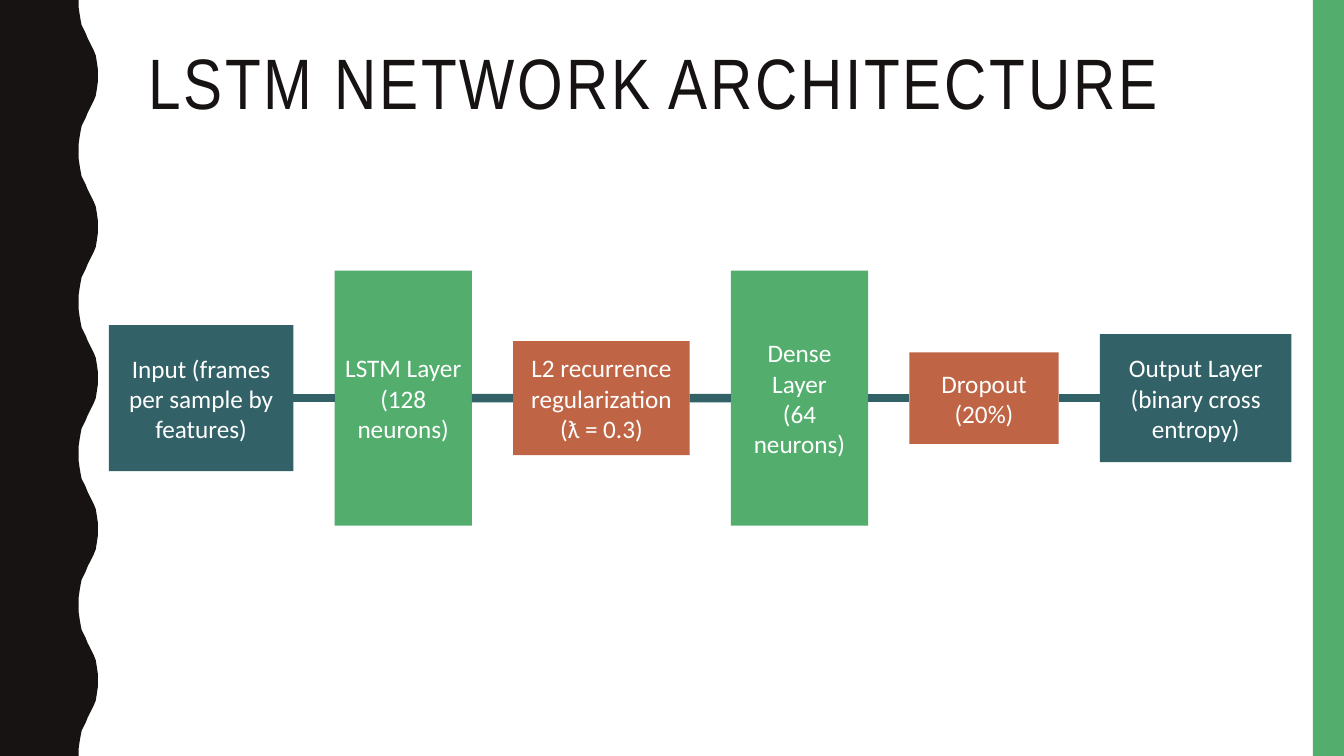
import pptx
import pptx.util
import pptx.dml.color
import pptx.enum.shapes
import pptx.enum.text
import pptx.oxml.ns
import lxml.etree

Inches = pptx.util.Inches
Align = pptx.enum.text.PP_ALIGN
Anchor = pptx.enum.text.MSO_ANCHOR

COLORS = {
    "ink": "171312",
    "green": "53AE6E",
    "rust": "BF6546",
    "teal": "326267",
    "white": "FFFFFF",
}


def color(name):
    return pptx.dml.color.RGBColor.from_string(COLORS[name])


def write_text(frame, text, *, font, size, ink, align, anchor,
               line_spacing=None, letter_spacing=None):
    """Fill a text frame, one paragraph for each line of text."""
    frame.word_wrap = True
    frame.auto_size = pptx.enum.text.MSO_AUTO_SIZE.NONE
    frame.vertical_anchor = anchor
    for index, line in enumerate(text.split("\n")):
        para = frame.paragraphs[0] if index == 0 else frame.add_paragraph()
        para.alignment = align
        para.space_before = pptx.util.Pt(0)
        if line_spacing:
            para.line_spacing = line_spacing
        span = para.add_run()
        span.text = line
        span.font.name = font
        span.font.size = pptx.util.Pt(size)
        span.font.color.rgb = color(ink)
        if letter_spacing:
            span.font._element.set("spc", str(letter_spacing * 100))


class SlideBuilder:
    title_font = "Arial Narrow"
    body_font = "Calibri"

    def __init__(self, page):
        self.page = page

    def paint(self, shape, fill):
        shape.shadow.inherit = False
        shape.fill.solid()
        shape.fill.fore_color.rgb = color(fill)
        shape.line.fill.background()

    def title(self, text, left, top, width, height):
        box = self.page.shapes.title
        box.left, box.top = Inches(left), Inches(top)
        box.width, box.height = Inches(width), Inches(height)
        write_text(box.text_frame, text, font=self.title_font, size=51, ink="ink",
                   align=Align.LEFT, anchor=Anchor.TOP,
                   line_spacing=0.9, letter_spacing=2)

    def box(self, left, top, width, height, fill, text=None):
        box = self.page.shapes.add_shape(
            pptx.enum.shapes.MSO_SHAPE.RECTANGLE,
            Inches(left), Inches(top), Inches(width), Inches(height))
        self.paint(box, fill)
        if text:
            frame = box.text_frame
            frame.margin_left = frame.margin_right = Inches(0.09)
            write_text(frame, text, font=self.body_font, size=18, ink="white",
                       align=Align.CENTER, anchor=Anchor.MIDDLE)
        return box

    def outline(self, points, fill):
        corners = [(Inches(x), Inches(y)) for x, y in points]
        builder = self.page.shapes.build_freeform(*corners[0])
        builder.add_line_segments(corners[1:], close=True)
        self.paint(builder.convert_to_shape(), fill)

    def link(self, source, target):
        """Join the right side of one box to the left side of the next."""
        line = self.page.shapes.add_connector(
            pptx.enum.shapes.MSO_CONNECTOR.STRAIGHT, 0, 0, 0, 0)
        line.begin_connect(source, 3)
        line.end_connect(target, 1)
        line.line.color.rgb = color("teal")
        line.line.width = pptx.util.Pt(6)
        lxml.etree.SubElement(line._element.spPr, pptx.oxml.ns.qn("a:effectLst"))


def wave_points(height, waves):
    """Outline of the left band, whose right edge repeats one wave."""
    period = height / waves
    swell = [(0.78, 0), (0.78, 0.07), (0.79, 0.14), (0.8, 0.2), (0.81, 0.25),
             (0.83, 0.29), (0.85, 0.33), (0.87, 0.38), (0.89, 0.42),
             (0.91, 0.46), (0.93, 0.5), (0.95, 0.55), (0.96, 0.61),
             (0.97, 0.68), (0.97, 0.75)]
    ebb = [(x, period - y) for x, y in reversed(swell[:-1])]
    edge = [(x, y + wave * period) for wave in range(waves) for x, y in swell + ebb]
    return [(0, 0), *edge, (0, height)]


def main():
    deck = pptx.Presentation()
    deck.slide_width, deck.slide_height = Inches(13.33), Inches(7.5)
    builder = SlideBuilder(deck.slides.add_slide(deck.slide_layouts[5]))

    # Side bands and title
    builder.outline(wave_points(7.5, 5), "ink")
    builder.box(13.02, 0, 0.31, 7.5, "green")
    builder.title("LSTM NETWORK ARCHITECTURE", 1.37, 0.42, 11.13, 1.63)

    # Network layers, left to right: width, height, fill, text
    layers = [
        (1.83, 1.45, "teal", "Input (frames per sample by features)"),
        (1.36, 2.53, "green", "LSTM Layer\n(128 neurons)"),
        (1.75, 1.13, "rust", "L2 recurrence regularization\n(ƛ = 0.3)"),
        (1.36, 2.53, "green", "Dense Layer\n(64 neurons)"),
        (1.48, 0.91, "rust", "Dropout\n(20%)"),
        (1.9, 1.27, "teal", "Output Layer\n(binary cross entropy)"),
    ]
    left, middle, gap = 1.08, 3.95, 0.41
    boxes = []
    for width, height, fill, text in layers:
        boxes.append(builder.box(left, middle - height / 2, width, height, fill, text))
        left += width + gap

    # Links between neighbouring layers
    for source, target in zip(boxes, boxes[1:]):
        builder.link(source, target)

    deck.save("out.pptx")


if __name__ == "__main__":
    main()
